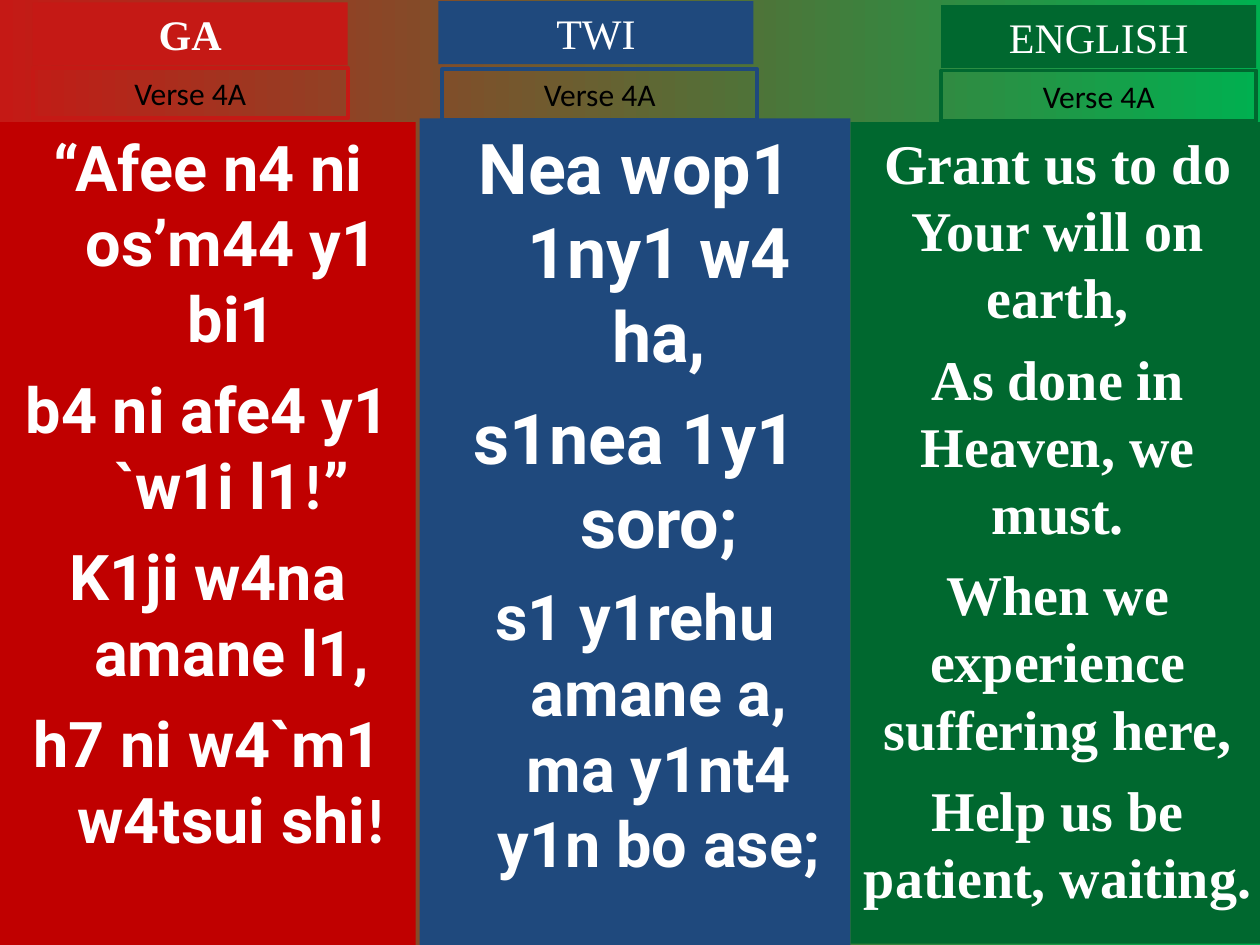
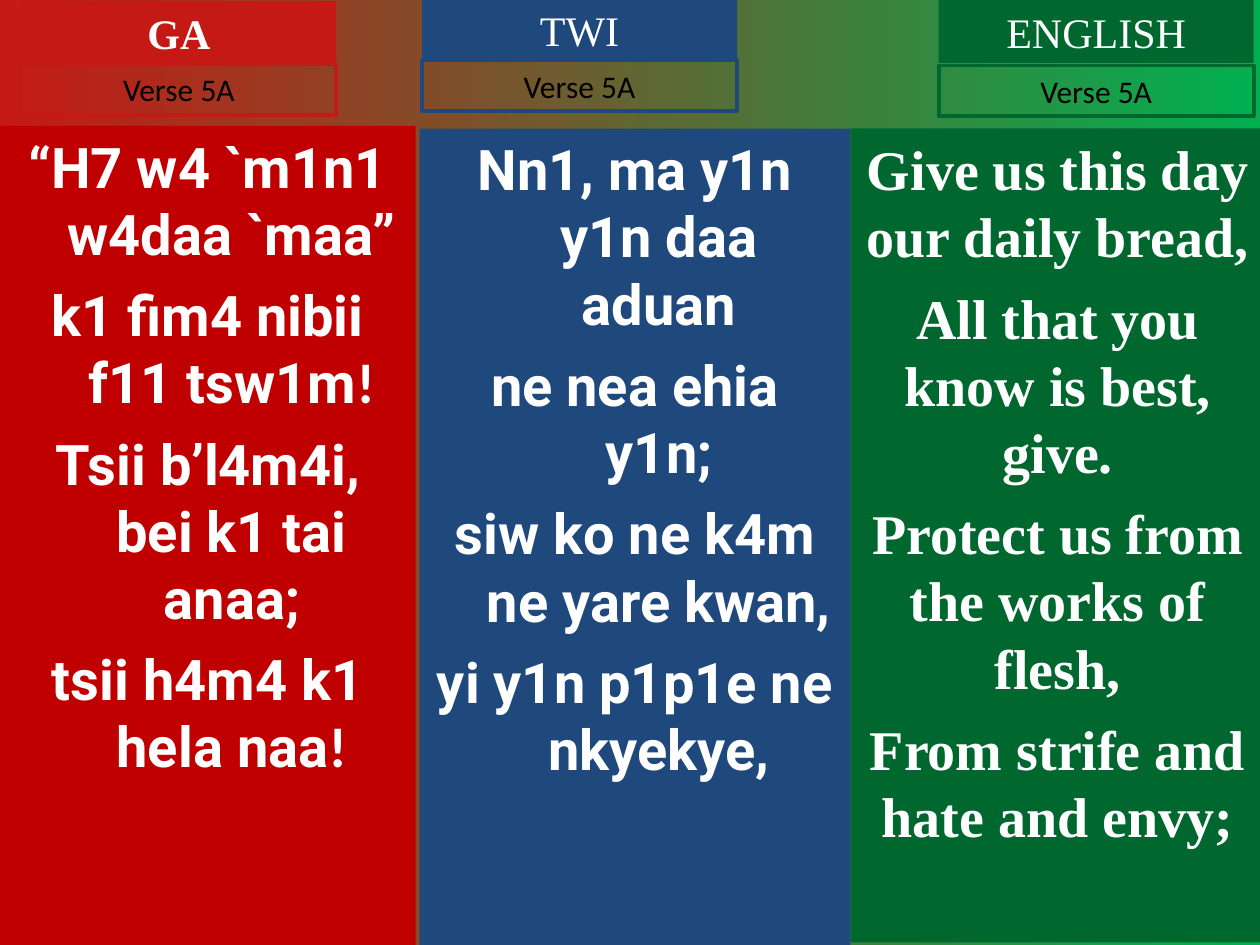
from dataclasses import dataclass

from pptx import Presentation
from pptx import util as u
from pptx.dml import color
from pptx.enum import shapes, text

SLIDE_WIDTH, SLIDE_HEIGHT = 10, 7.5
COLUMNS, ROWS = 100, 75  # grid that every box below is measured in
CELL_WIDTH = u.Inches(SLIDE_WIDTH) / COLUMNS
CELL_HEIGHT = u.Inches(SLIDE_HEIGHT) / ROWS
TAB_WIDTH, TITLE_HEIGHT, VERSE_HEIGHT = 25, 5, 4
HANG = u.Inches(0.38)

COLORS = {
    "ga_tab": "C51915",
    "ga_panel": "C00000",
    "twi": "1F497D",
    "english": "00682F",
    "sweep_end": "00B050",
    "white": "FFFFFF",
    "black": "000000",
}


@dataclass
class Language:
    title: str
    tab_color: str
    panel_color: str
    font: str
    left: float
    width: float
    bold_title: bool = False
    hanging: bool = True


LANGUAGES = [
    Language("GA", "ga_tab", "ga_panel", "Roboto", 0, 33, bold_title=True),
    Language("TWI", "twi", "twi", "Roboto", 33.3, 34.2),
    Language("ENGLISH", "english", "english", "Times New Roman", 67.5, 32.9,
             hanging=False),
]


@dataclass
class Stanza:
    """Lyrics of one language, with the places of its tabs and panel in grid cells."""
    title_at: tuple
    verse_at: tuple
    panel_top: float
    panel_bottom: float
    lines: list
    sizes: tuple = (32, 32, 32, 32)


VERSES = {
    "Verse 4A": [
        Stanza((2.6, 0.2), (2.6, 5.4), 9.7, 75, [
            "“Afee n4 ni os’m44 y1 bi1",
            "b4 ni afe4 y1 `w1i l1!”",
            "K1ji w4na amane l1,",
            "h7 ni w4`m1 w4tsui shi!",
        ], (36, 36, 36, 36)),
        Stanza((34.8, 0.1), (35.1, 5.5), 9.4, 75, [
            "Nea wop1 1ny1 w4 ha,",
            "s1nea 1y1 soro;",
            "s1 y1rehu amane a, ma y1nt4 y1n bo ase;",
        ], (40, 40, 36)),
        Stanza((74.7, 0.4), (74.7, 5.6), 9.7, 74.9, [
            "Grant us to do Your will on earth,",
            "As done in Heaven, we must.",
            "When we experience suffering here,",
            "Help us be patient, waiting.",
        ]),
    ],
    "Verse 5A": [
        Stanza((1.7, 0.1), (1.7, 5.1), 10, 75, [
            "“H7 w4 `m1n1 w4daa `maa”",
            "k1 fim4 nibii f11 tsw1m!",
            "Tsii b’l4m4i, bei k1 tai anaa;",
            "tsii h4m4 k1 hela naa!",
        ]),
        Stanza((33.5, -0.1), (33.5, 4.8), 10.2, 75, [
            "Nn1, ma y1n y1n daa aduan",
            "ne nea ehia y1n;",
            "siw ko ne k4m ne yare kwan,",
            "yi y1n p1p1e ne nkyekye,",
        ]),
        Stanza((74.5, 0), (74.5, 5.2), 10.2, 74.8, [
            "Give us this day our daily bread,",
            "All that you know is best, give.",
            "Protect us from the works of flesh,",
            "From strife and hate and envy;",
        ]),
    ],
}


def rgb(name):
    return color.RGBColor.from_string(COLORS[name])


def add_box(page, left, top, width, height, fill=None, outline=None):
    """Add a rectangle measured in grid cells, with text starting at its top."""
    box = page.shapes.add_shape(
        shapes.MSO_SHAPE.RECTANGLE,
        round(left * CELL_WIDTH), round(top * CELL_HEIGHT),
        round(width * CELL_WIDTH), round(height * CELL_HEIGHT))
    box.shadow.inherit = False
    if fill:
        box.fill.solid()
        box.fill.fore_color.rgb = rgb(fill)
    else:
        box.fill.background()
    if outline:
        box.line.color.rgb = rgb(outline)
        box.line.width = u.Pt(2.25)
    else:
        box.line.fill.background()
    box.text_frame.word_wrap = True
    box.text_frame.vertical_anchor = text.MSO_ANCHOR.TOP
    return box


def style_paragraph(para, font, size, ink="white", bold=False):
    para.alignment = text.PP_ALIGN.CENTER
    para.font.name = font
    para.font.size = u.Pt(size)
    para.font.bold = bold
    para.font.color.rgb = rgb(ink)


def add_lyric(para, line, language):
    """Write one line of lyrics; Roboto lines take their exclamation mark in Calibri."""
    if language.font != "Roboto":
        para.add_run().text = line
        return
    before, mark, after = line.partition("!")
    for part in filter(None, (before, mark, after)):
        span = para.add_run()
        span.text = part
        if part == "!":
            span.font.name = "Calibri"


def add_panel(page, language, stanza):
    box = add_box(page, language.left, stanza.panel_top, language.width,
                  stanza.panel_bottom - stanza.panel_top, fill=language.panel_color)
    frame = box.text_frame
    for number, (line, size) in enumerate(zip(stanza.lines, stanza.sizes)):
        para = frame.add_paragraph() if number else frame.paragraphs[0]
        if number:
            para.space_before = u.Pt(size / 4)
        if language.hanging:
            properties = para._p.get_or_add_pPr()
            properties.set("marL", str(HANG))
            properties.set("indent", str(-HANG))
        style_paragraph(para, language.font, size, bold=True)
        add_lyric(para, line, language)


def add_tabs(page, language, stanza, verse):
    """Add the language title and the outlined verse label below it."""
    title = add_box(page, *stanza.title_at, TAB_WIDTH, TITLE_HEIGHT,
                    fill=language.tab_color)
    label = add_box(page, *stanza.verse_at, TAB_WIDTH, VERSE_HEIGHT,
                    outline=language.tab_color)
    for box, words in ((title, language.title), (label, verse)):
        box.text_frame.auto_size = text.MSO_AUTO_SIZE.SHAPE_TO_FIT_TEXT
        box.text_frame.paragraphs[0].add_run().text = words
    style_paragraph(title.text_frame.paragraphs[0], "Times New Roman", 24,
                    bold=language.bold_title)
    style_paragraph(label.text_frame.paragraphs[0], "Calibri", 18, ink="black")


def paint_background(page):
    fill = page.background.fill
    fill.gradient()
    fill.gradient_angle = 0
    for stop, position, name in zip(fill.gradient_stops, (0, 1),
                                    ("ga_tab", "sweep_end")):
        stop.position = position
        stop.color.rgb = rgb(name)


def add_verse_page(deck, verse, stanzas):
    page = deck.slides.add_slide(deck.slide_layouts[6])
    paint_background(page)
    for language, stanza in zip(LANGUAGES, stanzas):
        add_panel(page, language, stanza)
        add_tabs(page, language, stanza, verse)


def main():
    deck = Presentation()
    deck.slide_width = u.Inches(SLIDE_WIDTH)
    deck.slide_height = u.Inches(SLIDE_HEIGHT)
    for verse, stanzas in VERSES.items():
        add_verse_page(deck, verse, stanzas)
    deck.save("out.pptx")


if __name__ == "__main__":
    main()
